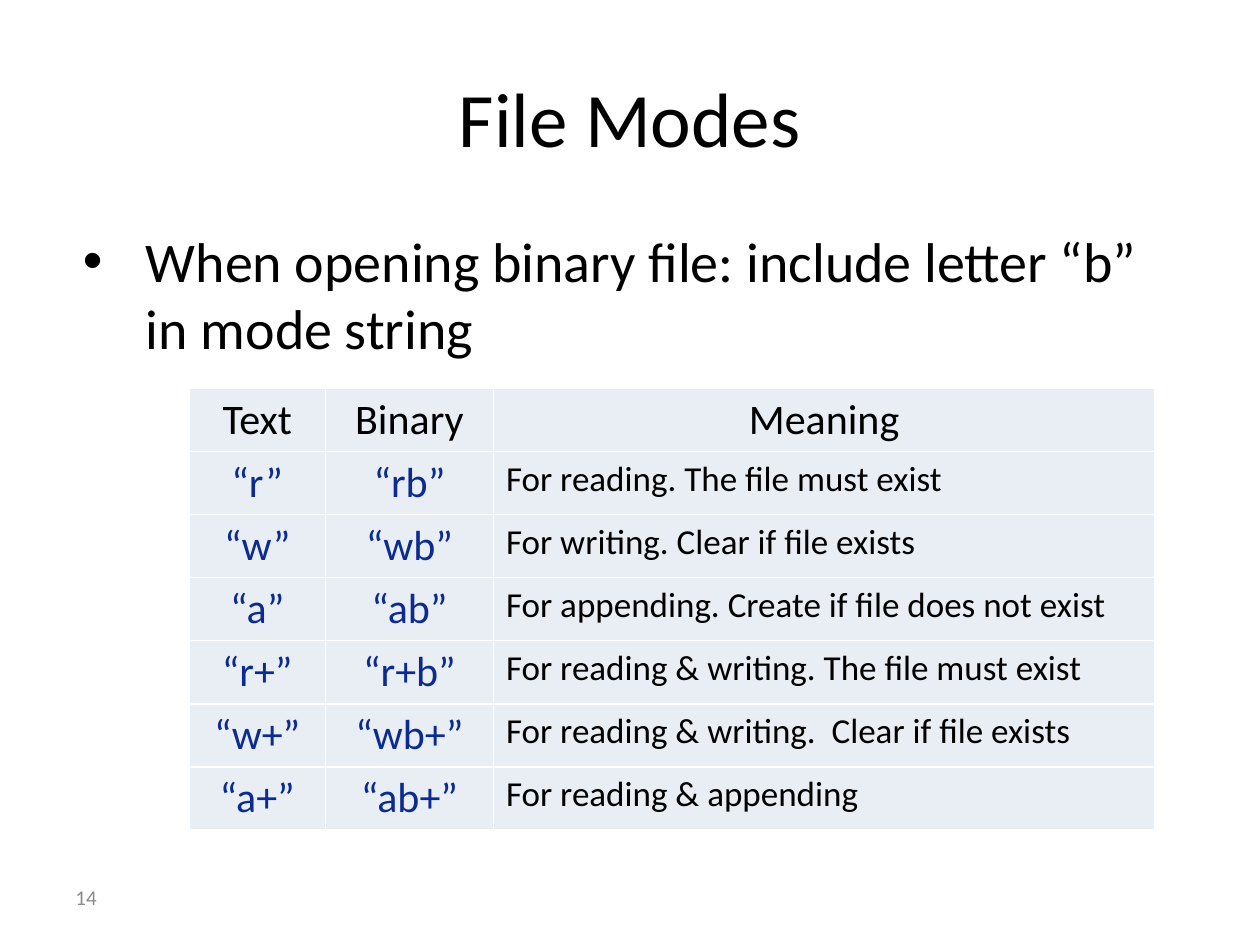
import lxml.etree
import pptx
import pptx.dml.color
import pptx.enum.text
import pptx.oxml
import pptx.oxml.ns
import pptx.util

ALIGN = pptx.enum.text.PP_ALIGN
ANCHOR = pptx.enum.text.MSO_ANCHOR
FONT = "Calibri"
COLORS = {
    "text": "000000",
    "mode": "0B2B91",
    "number": "8C8C8C",
    "cell": "E9EDF4",
    "border": "FFFFFF",
}
GRID_COLUMNS, GRID_ROWS = 120, 90
UNIT = pptx.util.Inches(10) // GRID_COLUMNS
TABLE_COLUMNS = (13, 16, 63)
ROW_HEIGHT = 6
MODES = [
    ("Text", "Binary", "Meaning"),
    ("“r”", "“rb”", "For reading. The file must exist"),
    ("“w”", "“wb”", "For writing. Clear if file exists"),
    ("“a”", "“ab”", "For appending. Create if file does not exist"),
    ("“r+”", "“r+b”", "For reading & writing. The file must exist"),
    ("“w+”", "“wb+”", "For reading & writing.  Clear if file exists"),
    ("“a+”", "“ab+”", "For reading & appending"),
]


def grid(*lengths):
    """Convert grid units to slide lengths."""
    return [round(length * UNIT) for length in lengths]


def format_paragraph(paragraph, size, color, alignment):
    """Set the alignment and font of a paragraph's runs."""
    paragraph.alignment = alignment
    for run in paragraph.runs:
        run.font.name = FONT
        run.font.size = pptx.util.Pt(size)
        run.font.color.rgb = pptx.dml.color.RGBColor.from_string(COLORS[color])


def add_text(slide, place, text, size, color="text", alignment=ALIGN.LEFT, anchor=ANCHOR.MIDDLE):
    """Add a wrapped text box and return its paragraph."""
    text_frame = slide.shapes.add_textbox(*grid(*place)).text_frame
    text_frame.word_wrap = True
    text_frame.vertical_anchor = anchor
    text_frame.text = text
    paragraph = text_frame.paragraphs[0]
    format_paragraph(paragraph, size, color, alignment)
    return paragraph


def add_bullet(paragraph, indent, hanging):
    """Give a paragraph a round bullet with a hanging indent."""
    properties = paragraph._p.get_or_add_pPr()
    properties.set("marL", str(pptx.util.Inches(indent)))
    properties.set("indent", str(-pptx.util.Inches(hanging)))
    font = lxml.etree.SubElement(properties, pptx.oxml.ns.qn("a:buFont"))
    font.set("typeface", "Arial")
    bullet = lxml.etree.SubElement(properties, pptx.oxml.ns.qn("a:buChar"))
    bullet.set("char", "•")


def add_borders(cell, color, width):
    """Draw a line on all four sides of a cell."""
    properties = cell._tc.get_or_add_tcPr()
    for side in ("lnL", "lnR", "lnT", "lnB"):
        properties.append(pptx.oxml.parse_xml(
            f'<a:{side} {pptx.oxml.ns.nsdecls("a")} w="{pptx.util.Pt(width)}">'
            f'<a:solidFill><a:srgbClr val="{COLORS[color]}"/></a:solidFill></a:{side}>'
        ))


def fill_cell(cell, text, size, color, alignment):
    """Write and style one table cell."""
    cell.text_frame.text = text
    format_paragraph(cell.text_frame.paragraphs[0], size, color, alignment)
    add_borders(cell, "border", 1)
    cell.fill.solid()
    cell.fill.fore_color.rgb = pptx.dml.color.RGBColor.from_string(COLORS["cell"])


def add_mode_table(slide, left, top):
    """Add the table of file modes."""
    place = grid(left, top, sum(TABLE_COLUMNS), ROW_HEIGHT * len(MODES))
    table = slide.shapes.add_table(len(MODES), len(TABLE_COLUMNS), *place).table
    table.first_row = False
    table.horz_banding = False
    for column, width in zip(table.columns, grid(*TABLE_COLUMNS)):
        column.width = width
    for row_index, texts in enumerate(MODES):
        for column_index, text in enumerate(texts):
            cell = table.cell(row_index, column_index)
            if row_index == 0:
                fill_cell(cell, text, 24, "text", ALIGN.CENTER)
            elif column_index < 2:
                fill_cell(cell, text, 24, "mode", ALIGN.CENTER)
            else:
                fill_cell(cell, text, 20, "text", ALIGN.LEFT)


def main():
    """Build the file modes slide."""
    presentation = pptx.Presentation()
    presentation.slide_width, presentation.slide_height = grid(GRID_COLUMNS, GRID_ROWS)
    slide = presentation.slides.add_slide(presentation.slide_layouts[6])
    add_text(slide, (6, 3.6, 108, 15), "File Modes", 44, alignment=ALIGN.CENTER)
    statement = add_text(
        slide, (6, 21, 108, 59.4),
        "When opening binary file: include letter “b” in mode string",
        32, anchor=ANCHOR.TOP,
    )
    add_bullet(statement, 0.56, 0.5)
    add_text(slide, (6, 83, 28, 4.8), "14", 12, "number")
    add_mode_table(slide, 18, 37)
    presentation.save("out.pptx")


if __name__ == "__main__":
    main()
